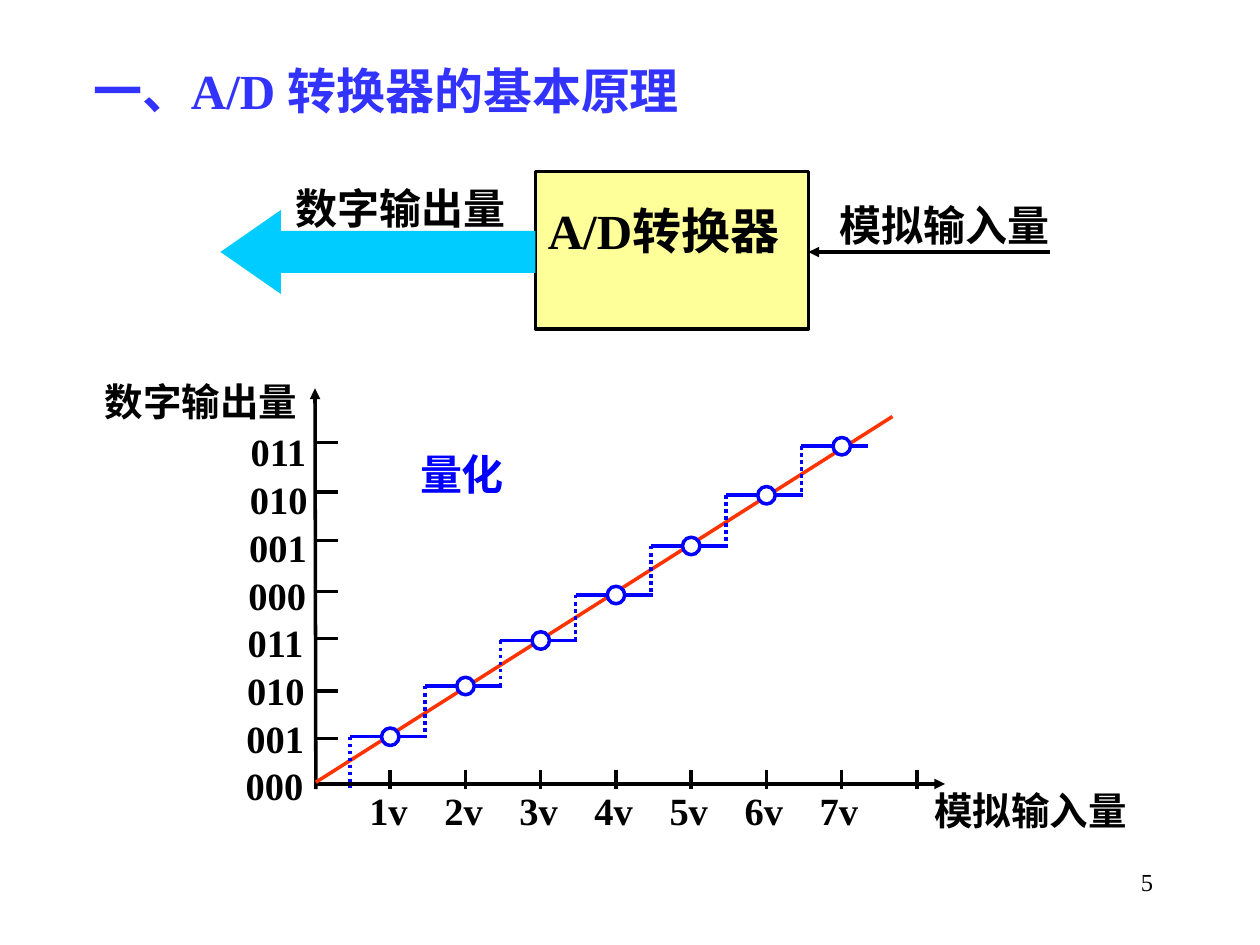
"""Build the slide on the basic principle of an A/D converter."""
from pptx import Presentation
from pptx.dml.color import RGBColor
from pptx.enum import dml, shapes, text
from pptx.oxml.ns import qn
from pptx.util import Pt
from lxml import etree

BLACK, BLUE = "000000", "0000FF"
CODES = ["000", "001", "010", "011"] * 2
VOLTS = ["1v", "2v", "3v", "4v", "5v", "6v", "7v"]
TICKS = [422, 395, 365, 338, 309, 281, 253]
STEPS = [421, 392, 366, 340, 312, 283, 255]
LABELS = [
    ("模拟输入量", 534, 450, 139, 22, BLACK),
    ("数字输出量", 60, 216, 119, 22, BLACK),
    ("模拟输入量", 480, 114, 139, 24, BLACK),
    ("数字输出量", 169, 104.5, 149, 24, BLACK),
    ("量化", 240, 256.5, 60, 24, BLUE),
]
ORIGIN, AXIS, GAP, FIRST = 180.5, 448, 43, 223
RADIUS = 5

deck = Presentation()
deck.slide_width, deck.slide_height = Pt(720), Pt(540)
slide = deck.slides.add_slide(deck.slide_layouts[5])


def color(code):
    return RGBColor.from_string(code)


def write(frame, words, size, ink, bold=True, align=text.PP_ALIGN.LEFT, pad=(0, 0)):
    frame.text = words
    frame.word_wrap = True
    frame.auto_size = text.MSO_AUTO_SIZE.NONE
    frame.vertical_anchor = text.MSO_ANCHOR.TOP
    frame.margin_left = frame.margin_right = Pt(pad[0])
    frame.margin_top = frame.margin_bottom = Pt(pad[1])
    para = frame.paragraphs[0]
    para.alignment = align
    font = para.runs[0].font
    font.name, font.size, font.bold = "Times New Roman", Pt(size), bold
    font.color.rgb = color(ink)


def label(words, left, top, width, size, ink, **style):
    box = slide.shapes.add_textbox(Pt(left), Pt(top), Pt(width), Pt(27))
    write(box.text_frame, words, size, ink, **style)


def line(x1, y1, x2, y2, ink=BLACK, dots=False, arrow=False):
    link = slide.shapes.add_connector(
        shapes.MSO_CONNECTOR.STRAIGHT, Pt(x1), Pt(y1), Pt(x2), Pt(y2))
    link.line.color.rgb = color(ink)
    link.line.width = Pt(2)
    if dots:
        link.line.dash_style = dml.MSO_LINE.ROUND_DOT
    if arrow:
        etree.SubElement(link.line._get_or_add_ln(), qn("a:tailEnd"), type="triangle")
    etree.SubElement(link._element.spPr, qn("a:effectLst"))


def shape(kind, left, top, width, height, fill, edge=None):
    form = slide.shapes.add_shape(kind, Pt(left), Pt(top), Pt(width), Pt(height))
    form.shadow.inherit = False
    form.fill.solid()
    form.fill.fore_color.rgb = color(fill)
    if edge:
        form.line.color.rgb = color(edge)
        form.line.width = Pt(2)
    else:
        form.line.fill.background()
    return form


def draw_plot():
    line(ORIGIN, AXIS, 540, AXIS, arrow=True)
    line(ORIGIN, 451, 180, 222, arrow=True)
    line(ORIGIN, 447, 510, 238, "FF3300")
    for y in TICKS:
        line(180, y, 193, y)
    for i in range(len(VOLTS) + 1):
        x = FIRST + i * GAP
        line(x, 451, x, 440)
    for i, code in enumerate(CODES):
        label(code, 140.4 + 0.4 * i, 435.6 - 27.25 * i, 36, 22, BLACK)
    for i, volt in enumerate(VOLTS):
        label(volt, 211 + 42.9 * i, 449.5, 34, 22, BLACK)

    floor = 450
    for i, y in enumerate(STEPS):
        mid = FIRST + i * GAP
        left = mid - 23
        right = left + (38 if i == len(STEPS) - 1 else 44)
        line(left, y, left, floor, BLUE, dots=True)
        line(left, y, right, y, BLUE)
        floor = y
    for i, y in enumerate(STEPS):
        mid = FIRST + i * GAP
        shape(shapes.MSO_SHAPE.OVAL, mid - RADIUS, y - RADIUS,
              2 * RADIUS, 2 * RADIUS, "FFFFFF", BLUE)


def draw_block():
    unit = shape(shapes.MSO_SHAPE.RECTANGLE, 306, 98, 156, 90, "FFFF99", BLACK)
    write(unit.text_frame, "A/D转换器", 28, BLACK, pad=(7.2, 16.5))
    line(600, 144, 462, 144, arrow=True)
    arrow = shape(shapes.MSO_SHAPE.LEFT_ARROW, 126, 120, 180, 48, "00CCFF")
    arrow.adjustments[1] = 0.72


title = slide.shapes.title
title.left, title.top, title.width, title.height = Pt(46), Pt(31), Pt(439), Pt(41)
write(title.text_frame, "一、A/D 转换器的基本原理", 28, "3333FF", pad=(7.2, 3.6))
draw_plot()
draw_block()
for item in LABELS:
    label(*item)
label("5", 516, 495.5, 143, 14, BLACK, bold=False, align=text.PP_ALIGN.RIGHT)
deck.save("out.pptx")
